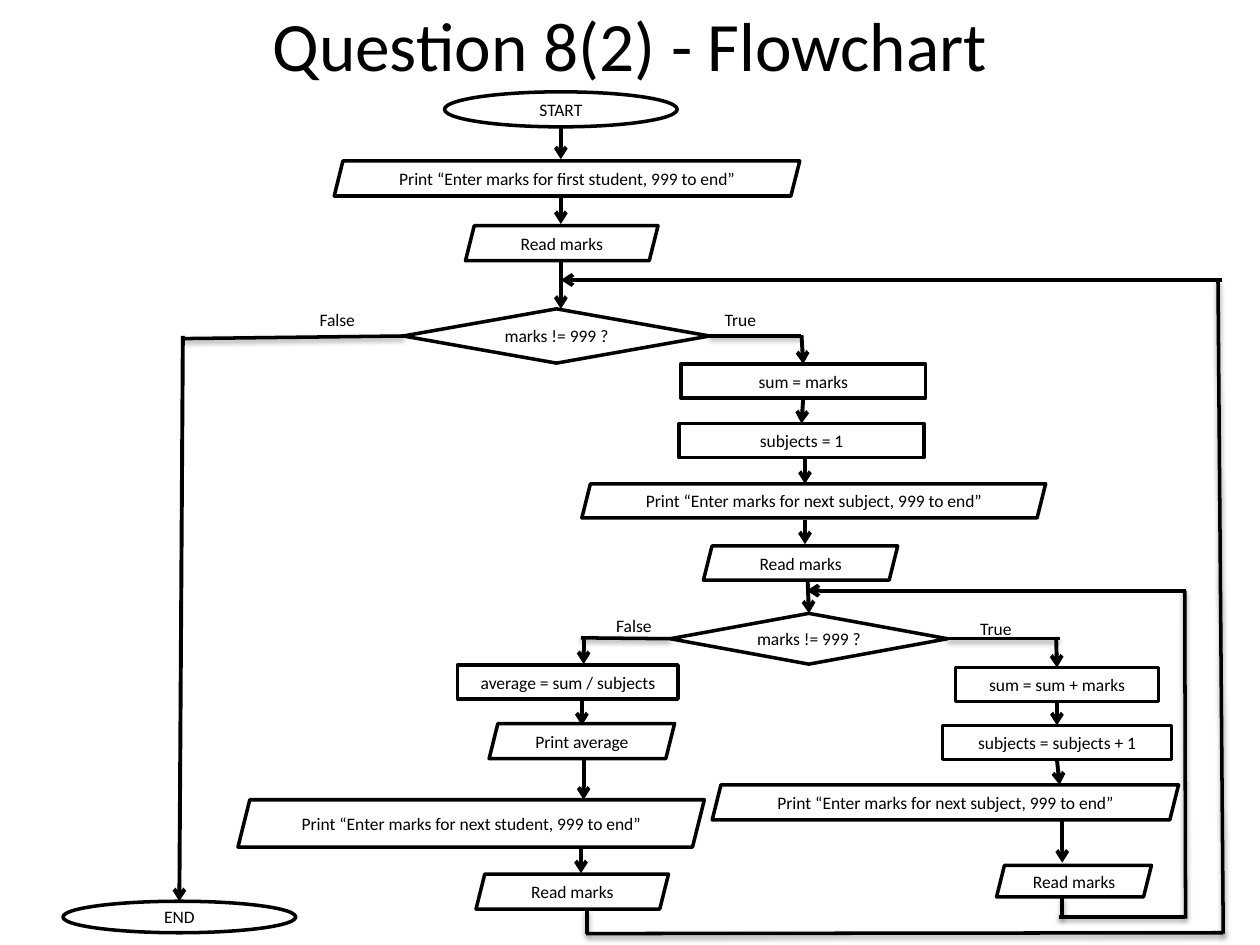
from lxml import etree
from pptx import Presentation
from pptx import util as u
from pptx.dml.color import RGBColor
from pptx.enum import shapes, text
from pptx.oxml.ns import qn

BLACK = RGBColor(0, 0, 0)
WHITE = RGBColor(255, 255, 255)
KIND = shapes.MSO_SHAPE
OVAL, BOX = KIND.OVAL, KIND.RECTANGLE
SLANT, TEST = KIND.PARALLELOGRAM, KIND.DIAMOND
TOP, LEFT, BASE, RIGHT = range(4)


class Chart:
    def __init__(self, slide, face="Calibri", size=10):
        self.slide, self.face, self.size = slide, face, size

    def letter(self, frame, words, align, size=None):
        frame.text = words
        para = frame.paragraphs[0]
        para.alignment = align
        para.font.name = self.face
        para.font.size = u.Pt(size or self.size)
        para.font.color.rgb = BLACK

    def title(self, words, left, top, wide, high):
        shape = self.slide.shapes.title
        shape.left, shape.top = u.Pt(left), u.Pt(top)
        shape.width, shape.height = u.Pt(wide), u.Pt(high)
        frame = shape.text_frame
        frame.vertical_anchor = text.MSO_ANCHOR.MIDDLE
        frame.auto_size = text.MSO_AUTO_SIZE.NONE
        self.letter(frame, words, text.PP_ALIGN.CENTER, 39.6)

    def node(self, kind, words, *area):
        shape = self.slide.shapes.add_shape(kind, *map(u.Pt, area))
        shape.shadow.inherit = False
        if kind == OVAL:
            shape.fill.solid()
            shape.fill.fore_color.rgb = WHITE
        else:
            shape.fill.background()
        shape.line.color.rgb = BLACK
        shape.line.width = u.Pt(2)
        frame = shape.text_frame
        frame.margin_left = frame.margin_right = 0
        frame.vertical_anchor = text.MSO_ANCHOR.MIDDLE
        self.letter(frame, words, text.PP_ALIGN.CENTER)
        return shape

    def label(self, words, left, top):
        box = self.slide.shapes.add_textbox(*map(u.Pt, (left, top, 48, 18)))
        box.text_frame.word_wrap = True
        self.letter(box.text_frame, words, text.PP_ALIGN.LEFT)

    def spot(self, end):
        first, second = end
        if isinstance(first, (int, float)):
            return u.Pt(first), u.Pt(second)
        across = {LEFT: 0, RIGHT: 2}.get(second, 1)
        down = {TOP: 0, BASE: 2}.get(second, 1)
        return (first.left + first.width * across // 2,
                first.top + first.height * down // 2)

    def link(self, start, stop, width):
        line = self.slide.shapes.add_connector(
            shapes.MSO_CONNECTOR.STRAIGHT, *self.spot(start), *self.spot(stop))
        for end, join in ((start, line.begin_connect), (stop, line.end_connect)):
            if not isinstance(end[0], (int, float)):
                join(*end)
        line.line.color.rgb = BLACK
        line.line.width = u.Pt(width)
        return line, etree.SubElement(line._element.spPr, qn("a:effectLst"))

    def arrow(self, start, stop):
        line, _ = self.link(start, stop, 2.25)
        edge = line._element.spPr.find(qn("a:ln"))
        etree.SubElement(edge, qn("a:tailEnd"), type="arrow")

    def wire(self, start, stop):
        _, effect = self.link(start, stop, 2)
        shade = etree.SubElement(
            effect, qn("a:outerShdw"), blurRad=str(u.Pt(3.1)),
            dist=str(u.Pt(1.6)), dir="5400000", rotWithShape="0")
        tone = etree.SubElement(shade, qn("a:srgbClr"), val=str(BLACK))
        etree.SubElement(tone, qn("a:alpha"), val="38000")


def main():
    deck = Presentation()
    deck.slide_width, deck.slide_height = u.Pt(720), u.Pt(540)
    flow = Chart(deck.slides.add_slide(deck.slide_layouts[5]))
    flow.title("Question 8(2) - Flowchart", 36, 6.5, 648, 37.5)

    ask = "Print “Enter marks for {}, 999 to end”".format
    read, check = "Read marks", "marks != 999 ?"

    for node in (
        (OVAL, "START", 254, 52.5, 133, 20),
        (SLANT, ask("first student"), 191, 92, 266, 20),
        (SLANT, read, 266, 129, 110, 20),
        (SLANT, ask("next subject"), 332.5, 276.5, 265, 19.5),
        (SLANT, read, 402, 312, 111, 19.5),
        (BOX, "average = sum / subjects", 261.5, 380, 126, 19.5),
        (SLANT, "Print average", 279.5, 413.5, 106, 20),
        (SLANT, ask("next student"), 136, 457, 266.5, 27),
        (SLANT, read, 272, 499.5, 110, 20),
        (SLANT, ask("next subject"), 407, 448.5, 266.5, 20),
        (SLANT, read, 569.5, 494.5, 88.5, 18),
    ):
        flow.node(*node)

    finish = flow.node(OVAL, "END", 36, 515, 133, 18)
    outer = flow.node(TEST, check, 230.5, 176.5, 175, 31)
    inner = flow.node(TEST, check, 383, 350.5, 158.5, 29)
    total = flow.node(BOX, "sum = marks", 389, 208, 140, 19.5)
    count = flow.node(BOX, "subjects = 1", 388, 242, 140, 19.5)
    add = flow.node(BOX, "sum = sum + marks", 546, 381.5, 116, 19.5)
    step = flow.node(BOX, "subjects = subjects + 1", 538.5, 414.5, 131, 19.5)

    for start, stop in (
        ((335.5, 520), (335.5, 533.5)),
        ((335, 533.5), (699, 533)),
        ((699, 533.5), (696, 160)),
        ((607, 513), (607, 525)),
        ((605, 524), (677, 524)),
        ((677.5, 525), (677, 337.5)),
        ((104.5, 193.5), (outer, LEFT)),
        ((outer, RIGHT), (457.5, 192)),
        ((332, 364.5), (inner, LEFT)),
        ((inner, RIGHT), (605.5, 365)),
    ):
        flow.wire(start, stop)

    for x, top, base in (
        (320.5, 73, 91), (320.5, 113, 128), (320.5, 149, 176.5),
        (460, 262, 276.5), (460, 297, 311),
        (333.5, 363.5, 379.5), (332.5, 400.5, 414.5),
        (333.5, 433.5, 457), (332, 484, 499), (607, 468, 493),
    ):
        flow.arrow((x, top), (x, base))

    for start, stop in (
        ((698.5, 160), (320.5, 160)),
        ((677.5, 337.5), (461, 337.5)),
        ((104.5, 192), (finish, TOP)),
        ((458, 191.5), (total, TOP)),
        ((total, BASE), (count, TOP)),
        ((461.5, 331), (inner, TOP)),
        ((603.5, 364), (add, TOP)),
        ((add, BASE), (step, TOP)),
        ((step, BASE), (605.5, 448.5)),
    ):
        flow.arrow(start, stop)

    flow.label("False", 175.5, 173)
    flow.label("True", 407, 173)
    flow.label("False", 345, 348)
    flow.label("True", 553, 349.5)

    deck.save("out.pptx")


if __name__ == "__main__":
    main()
